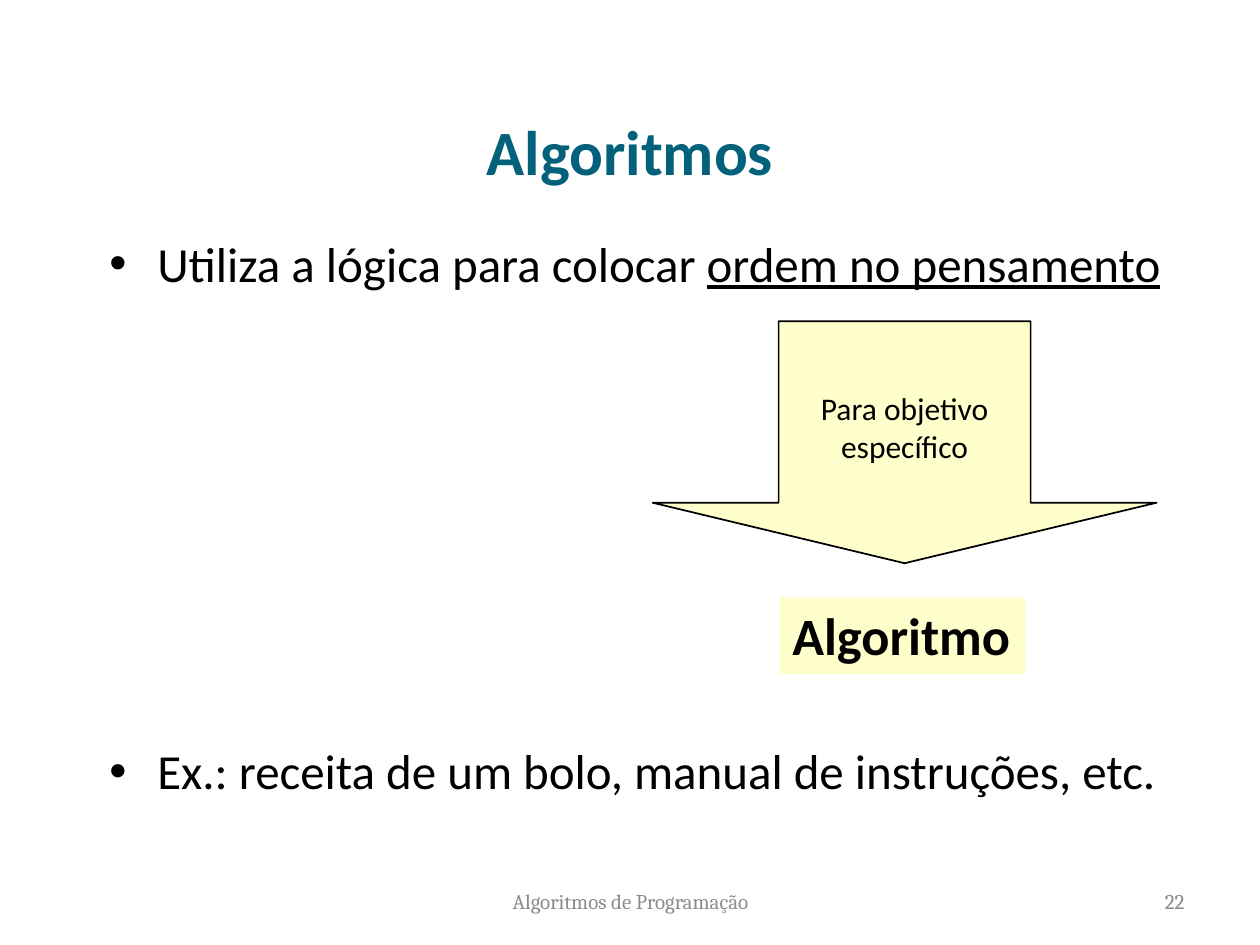
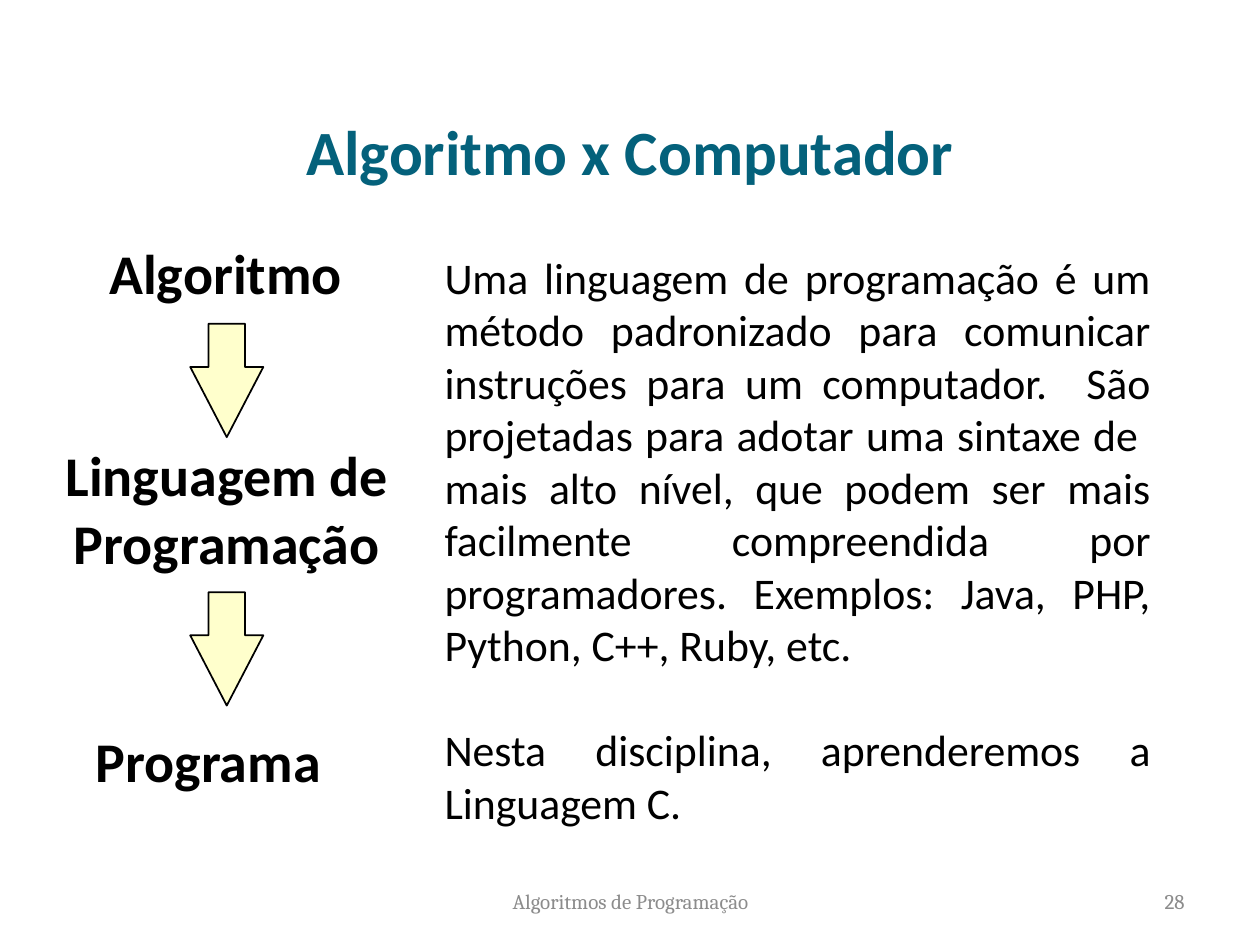
import pptx
import pptx.util
import pptx.dml.color
import pptx.enum.shapes
import pptx.enum.text
import lxml.etree
import pptx.oxml.ns

COLORS = {"ink": "000000", "title": "04617B", "foot": "8C8C8C", "pale": "FFFFCC"}
BODY, FOOT = "Calibri", "Cambria"
CELL = 0.1  # inches: the slide is a grid of 100 columns by 75 rows
COLS, ROWS = 100, 75

Pt = pptx.util.Pt
ALIGN = pptx.enum.text.PP_ALIGN
ANCHOR = pptx.enum.text.MSO_ANCHOR
SHAPE = pptx.enum.shapes.MSO_SHAPE


def grid(*cells):
    return [pptx.util.Inches(cell * CELL) for cell in cells]


def color(name):
    return pptx.dml.color.RGBColor.from_string(COLORS[name])


def style(para, size, ink="ink", face=BODY, bold=False, align=ALIGN.LEFT):
    font = para.font
    font.size, font.name, font.bold = Pt(size), face, bold
    font.color.rgb = color(ink)
    para.alignment = align


def write(shape, text, size, wrap=True, anchor=ANCHOR.TOP, gap=0, **look):
    """Fill a shape with one paragraph per line, set apart by gap points."""
    frame = shape.text_frame
    frame.word_wrap = wrap
    frame.vertical_anchor = anchor
    frame.text = text
    for index, para in enumerate(frame.paragraphs):
        style(para, size, **look)
        if index and gap:
            para.space_before = Pt(gap)


def label(slide, box, text, size, **look):
    shape = slide.shapes.add_textbox(*grid(*box))
    write(shape, text, size, **look)


def block(slide, kind, box, line=True):
    shape = slide.shapes.add_shape(kind, *grid(*box))
    shape.shadow.inherit = False
    shape.fill.solid()
    shape.fill.fore_color.rgb = color("pale")
    if line:
        shape.line.color.rgb = color("ink")
        shape.line.width = Pt(1)
    else:
        shape.line.fill.background()
    return shape


def arrow(slide, box, head):
    """Draw a down arrow; head is its tip length as a share of its width."""
    shape = block(slide, SHAPE.DOWN_ARROW, box)
    shape.adjustments[0] = 0.5
    shape.adjustments[1] = head
    return shape


def bullet(slide, row, height, text, under=""):
    """Write a bulleted line whose last words are underlined."""
    shape = slide.shapes.add_textbox(*grid(7.7, row, 88.1, height))
    write(shape, text, 28)
    para = shape.text_frame.paragraphs[0]
    if under:
        run = para.add_run()
        run.text = under
        run.font.underline = True
    props = para._p.get_or_add_pPr()
    indent = grid(3.8)[0]
    props.set("marL", str(indent))
    props.set("indent", str(-indent))
    qn = pptx.oxml.ns.qn
    lxml.etree.SubElement(props, qn("a:buFont")).set("typeface", "Arial")
    lxml.etree.SubElement(props, qn("a:buChar")).set("char", "•")


def page(deck, title, number):
    """Add a slide with the shared title and footer."""
    slide = deck.slides.add_slide(deck.slide_layouts[6])
    label(slide, (5, 8.4, 90, 9.3), title, 36, ink="title", bold=True,
          align=ALIGN.CENTER)
    foot = dict(ink="foot", face=FOOT, anchor=ANCHOR.MIDDLE)
    label(slide, (34.2, 69.5, 31.7, 4), "Algoritmos de Programação", 12,
          align=ALIGN.CENTER, **foot)
    label(slide, (71.7, 69.5, 23.3, 4), str(number), 12,
          align=ALIGN.RIGHT, **foot)
    return slide


def logic(deck):
    slide = page(deck, "Algoritmos", 22)
    bullet(slide, 18, 7.5, "Utiliza a lógica para colocar ",
           "ordem no pensamento")
    goal = arrow(slide, (51.8, 25.5, 40, 19.2), 0.25)
    write(goal, "Para objetivo específico", 18, anchor=ANCHOR.MIDDLE,
          align=ALIGN.CENTER)
    result = block(slide, SHAPE.RECTANGLE, (61.9, 47.4, 19.5, 6.1), line=False)
    write(result, "Algoritmo", 30, wrap=False, bold=True)
    bullet(slide, 58.3, 5, "Ex.: receita de um bolo, manual de instruções, etc.")


def coding(deck):
    slide = page(deck, "Algoritmo x Computador", 28)
    label(slide, (7.7, 18.4, 20.7, 6.4), "Algoritmo", 32, wrap=False, bold=True)
    label(slide, (1.7, 34.5, 32.6, 11.8), "Linguagem de Programação", 32,
          bold=True, align=ALIGN.CENTER)
    label(slide, (6.6, 57.2, 20, 6.4), "Programa", 32, wrap=False, bold=True)
    for row in (25.7, 47):
        arrow(slide, (15.1, row, 5.8, 9), 0.96)
    text = (
        "Uma linguagem de programação é um método padronizado para comunicar "
        "instruções para um computador.  São projetadas para adotar uma "
        "sintaxe de  mais alto nível, que podem ser mais facilmente "
        "compreendida por programadores. Exemplos: Java, PHP, Python, C++, "
        "Ruby, etc.\n"
        "Nesta disciplina, aprenderemos a Linguagem C."
    )
    label(slide, (34.3, 19.4, 58, 47.3), text, 25, gap=30, align=ALIGN.JUSTIFY)


def main():
    deck = pptx.Presentation()
    deck.slide_width, deck.slide_height = grid(COLS, ROWS)
    logic(deck)
    coding(deck)
    deck.save("out.pptx")


if __name__ == "__main__":
    main()
